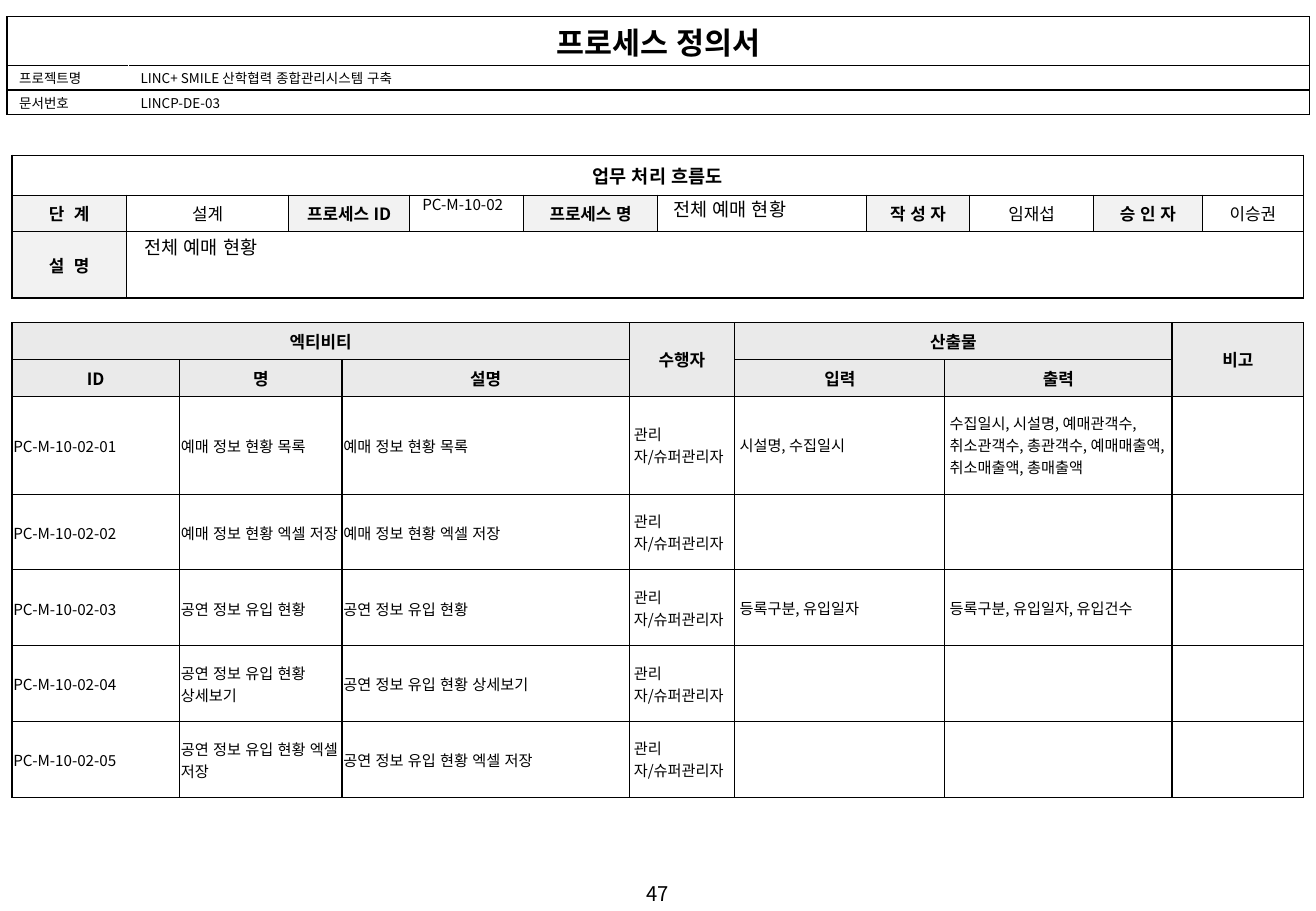
from lxml.etree import SubElement
from pptx import Presentation
from pptx.dml.color import RGBColor
from pptx.enum.lang import MSO_LANGUAGE_ID as Language
from pptx.enum.text import MSO_ANCHOR as Anchor, PP_ALIGN as Align
from pptx.oxml.ns import qn
from pptx.util import Cm, Pt

FONT = "Noto Sans CJK KR"
BLACK = RGBColor(0, 0, 0)
WHITE = RGBColor(255, 255, 255)
LABEL_GRAY = RGBColor(0xF2, 0xF2, 0xF2)
HEADER_GRAY = RGBColor(0xEA, 0xEA, 0xEA)

ROLE = "관리자/슈퍼관리자"
ACTIVITIES = [
    ("예매 정보 현황 목록", "시설명, 수집일시",
     "수집일시, 시설명, 예매관객수, 취소관객수, 총관객수, 예매매출액, 취소매출액, 총매출액"),
    ("예매 정보 현황 엑셀 저장", "", ""),
    ("공연 정보 유입 현황", "등록구분, 유입일자", "등록구분, 유입일자, 유입건수"),
    ("공연 정보 유입 현황 상세보기", "", ""),
    ("공연 정보 유입 현황 엑셀 저장", "", ""),
]

DOCUMENT = {
    "at": (0.15, 0.35),
    "columns": (2.54, 24.68),
    "heights": (1.02, 0.5, 0.5),
    "merges": [(0, 0, 0, 1)],
    "rows": [
        ("프로세스 정의서", ""),
        ("프로젝트명", "LINC+ SMILE 산학협력 종합관리시스템 구축"),
        ("문서번호", "LINCP-DE-03"),
    ],
}
SUMMARY = {
    "at": (0.25, 3.25),
    "columns": (2.39, 3.4, 2.52, 2.39, 2.79, 4.37, 2.16, 2.59, 2.27, 2.12),
    "heights": (0.83, 0.75, 1.38),
    "merges": [(0, 0, 0, 9), (2, 1, 2, 9)],
    "rows": [
        ("업무 처리 흐름도",),
        ("단  계", "설계", "프로세스 ID", "", "프로세스 명", "",
         "작 성 자", "임재섭", "승 인 자", "이승권"),
        ("설  명",),
    ],
}
ACTIVITY = {
    "at": (0.25, 6.75),
    "columns": (3.5, 3.4, 6, 2.21, 4.39, 4.75, 2.75),
    "heights": (0.76, 0.76, 2.04, 1.58, 1.58, 1.58, 1.58),
    "merges": [(0, 0, 0, 2), (0, 3, 1, 3), (0, 4, 0, 5), (0, 6, 1, 6)],
    "rows": [
        ("엑티비티", "", "", "수행자", "산출물", "", "비고"),
        ("ID", "명", "설명", "", "입력", "출력", ""),
    ] + [
        (f"PC-M-10-02-{number:02}", name, name, ROLE, given, result, "")
        for number, (name, given, result) in enumerate(ACTIVITIES, 1)
    ],
}
NOTES = [
    ("PC-M-10-02", 9, (8.58, 3.96, 2.36, 0.64), Align.LEFT),
    ("전체 예매 현황", 11, (13.82, 4.01, 4.34, 0.74), Align.LEFT),
    ("전체 예매 현황", 11, (2.77, 4.8, 24.2, 0.74), Align.LEFT),
    ("47", 12, (0, 18.31, 27.51, 0.76), Align.CENTER),
]


def document_format(row, column):
    edges = {side: (BLACK, 1) for side in "LRTB"}
    if row:
        edges["R" if column == 0 else "L"] = (WHITE, 1)
    title = row == 0
    return {"size": 18 if title else 8, "bold": title, "fill": WHITE,
            "align": Align.CENTER if title else Align.LEFT,
            "anchor": Anchor.TOP, "insets": (0.25, 0.05, 0.25, 0.05), "edges": edges}


def summary_format(row, column):
    label = row > 0 and column % 2 == 0 and (row == 1 or column == 0)
    outer = {"L": column == 0, "R": column == 9, "T": row == 0, "B": row == 2}
    edges = {side: (BLACK, 1 if edge else 0.75) for side, edge in outer.items()}
    return {"size": 10 if row else 11, "bold": row == 0 or label,
            "fill": LABEL_GRAY if label else WHITE, "align": Align.CENTER,
            "anchor": Anchor.MIDDLE, "insets": (0.25, 0.13, 0.25, 0.13), "edges": edges}


def activity_format(row, column):
    header = row < 2
    tight = (0.03, 0.03, 0.03, 0) if column < 3 else (0.1, 0.1, 0.1, 0.1)
    edges = {side: (BLACK, 0.75) for side in "LRTB"}
    if column == 0:
        edges["L"] = (BLACK, 1)
    return {"size": 10 if header else 9, "bold": header,
            "fill": HEADER_GRAY if header else WHITE,
            "align": Align.CENTER if header else Align.LEFT, "anchor": Anchor.MIDDLE,
            "insets": (0.25, 0.13, 0.25, 0.13) if header else tight, "edges": edges}


def write(frame, text, size, bold, align):
    para = frame.paragraphs[0]
    para.alignment = align
    if not text:
        SubElement(para._p, qn("a:endParaRPr"), sz=str(size * 100))
        return
    span = para.add_run()
    span.text = text
    values = {"name": FONT, "size": Pt(size), "bold": bold,
              "language_id": Language.KOREAN}
    for name, value in values.items():
        setattr(span.font, name, value)
    span.font.color.rgb = BLACK
    SubElement(span.font._element, qn("a:ea"), typeface=FONT)


def draw_edges(cell, edges):
    properties = cell._tc.get_or_add_tcPr()
    for side in "LRTB":
        color, width = edges[side]
        line = SubElement(properties, qn(f"a:ln{side}"), w=str(Pt(width)))
        SubElement(SubElement(line, qn("a:solidFill")), qn("a:srgbClr"), val=str(color))


def draw_table(page, content, format_for):
    columns, heights = content["columns"], content["heights"]
    left, top = content["at"]
    table = page.shapes.add_table(len(heights), len(columns), Cm(left), Cm(top),
                                  Cm(sum(columns)), Cm(sum(heights))).table
    table.first_row = table.horz_banding = False
    for column, width in zip(table.columns, columns):
        column.width = Cm(width)
    for row, height in zip(table.rows, heights):
        row.height = Cm(height)
    for top_row, first, bottom_row, last in content["merges"]:
        table.cell(top_row, first).merge(table.cell(bottom_row, last))
    for row, texts in enumerate(content["rows"]):
        for column in range(len(columns)):
            cell, look = table.cell(row, column), format_for(row, column)
            draw_edges(cell, look["edges"])
            cell.fill.solid()
            cell.fill.fore_color.rgb = look["fill"]
            cell.vertical_anchor = look["anchor"]
            for side, inset in zip(("left", "top", "right", "bottom"), look["insets"]):
                setattr(cell, f"margin_{side}", Cm(inset))
            text = texts[column] if column < len(texts) else ""
            write(cell.text_frame, text, look["size"], look["bold"], look["align"])


def main():
    deck = Presentation()
    deck.slide_width, deck.slide_height = Cm(27.51), Cm(19.05)
    page = deck.slides.add_slide(deck.slide_layouts[6])
    draw_table(page, DOCUMENT, document_format)
    draw_table(page, SUMMARY, summary_format)
    draw_table(page, ACTIVITY, activity_format)
    for text, size, place, align in NOTES:
        box = page.shapes.add_textbox(*map(Cm, place))
        box.text_frame.word_wrap = True
        write(box.text_frame, text, size, False, align)
    deck.save("out.pptx")


if __name__ == "__main__":
    main()
